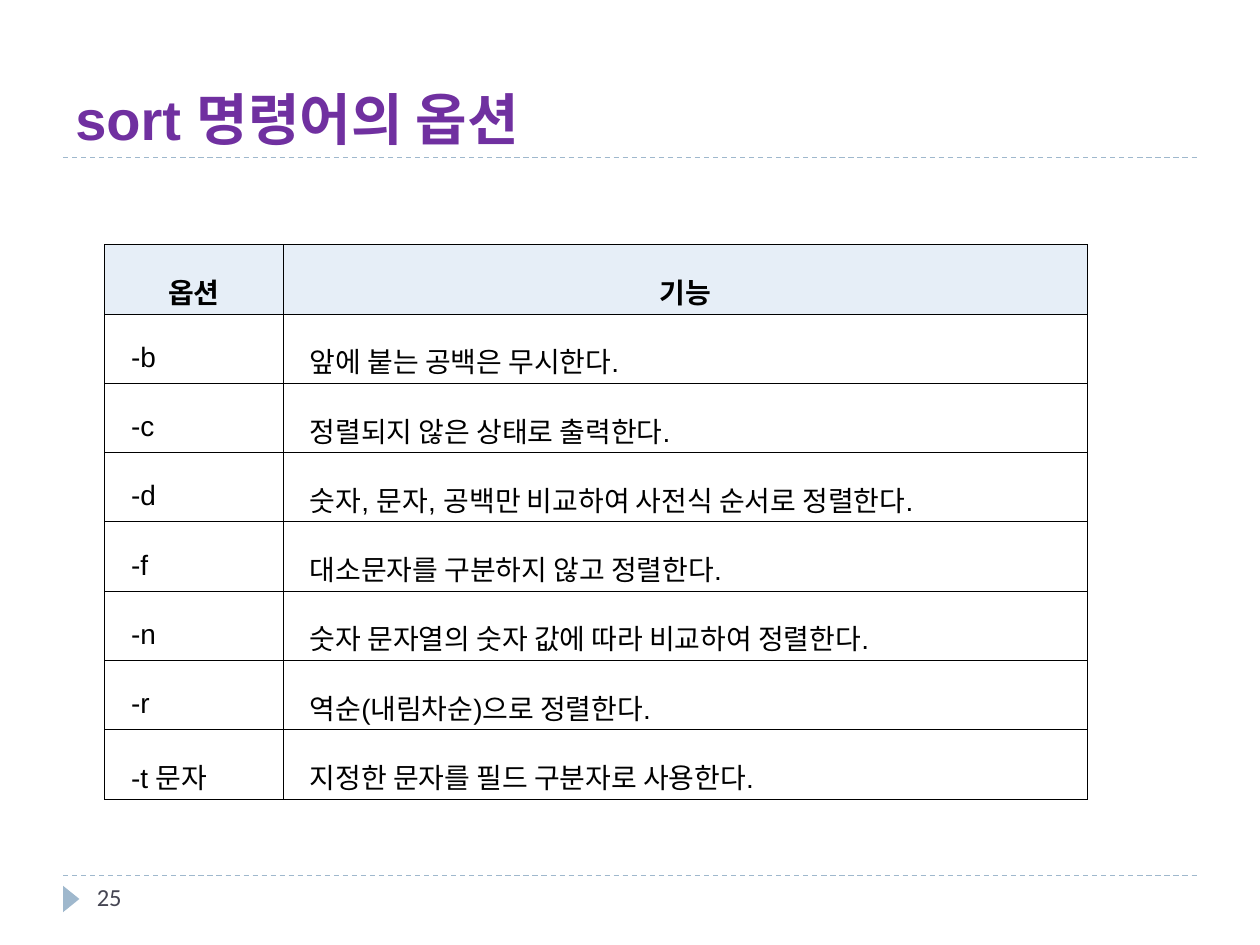
from pptx import Presentation
from pptx.dml.color import RGBColor
from pptx.enum.dml import MSO_LINE
from pptx.enum.shapes import MSO_CONNECTOR, MSO_SHAPE
from pptx.enum.text import MSO_ANCHOR as Anchor, PP_ALIGN as Align
from pptx.oxml import parse_xml
from pptx.oxml.ns import nsdecls
from pptx.util import Inches, Pt

ACCENT = "9FB8CD"
HEADER = ("옵션", "기능")
OPTIONS = [
    ("-b", "앞에 붙는 공백은 무시한다."),
    ("-c", "정렬되지 않은 상태로 출력한다."),
    ("-d", "숫자, 문자, 공백만 비교하여 사전식 순서로 정렬한다."),
    ("-f", "대소문자를 구분하지 않고 정렬한다."),
    ("-n", "숫자 문자열의 숫자 값에 따라 비교하여 정렬한다."),
    ("-r", "역순(내림차순)으로 정렬한다."),
    ("-t 문자", "지정한 문자를 필드 구분자로 사용한다."),
]


def color(value):
    """Turn a hex string into a colour."""
    return RGBColor.from_string(value)


def apply(target, formats):
    """Set each attribute named in a dict of format values."""
    for name, value in formats.items():
        setattr(target, name, value)


def write(para, text, ink, **formats):
    """Add one formatted span to a paragraph."""
    span = para.add_run()
    span.text = text
    apply(span.font, formats)
    span.font.color.rgb = color(ink)


def add_text(page, box, text, anchor, ink, **formats):
    """Place a line of text in a box."""
    frame = page.shapes.add_textbox(*map(Inches, box)).text_frame
    apply(frame, {"word_wrap": True, "vertical_anchor": anchor})
    write(frame.paragraphs[0], text, ink, **formats)


def add_rule(page, left, top, width):
    """Draw a dashed horizontal rule."""
    rule = page.shapes.add_connector(
        MSO_CONNECTOR.STRAIGHT, Inches(left), Inches(top), Inches(left + width), Inches(top))
    apply(rule.line, {"width": Pt(0.75), "dash_style": MSO_LINE.DASH})
    rule.line.color.rgb = color(ACCENT)
    rule._element.spPr.append(parse_xml(f"<a:effectLst {nsdecls('a')}/>"))


def add_title(page, box, text):
    """Place the title with a rule along its lower edge."""
    left, top, width, height = box
    add_rule(page, left, top + height, width)
    add_text(page, box, text, Anchor.BOTTOM, "7030A0",
             name="Arial", size=Pt(32), bold=True)


def add_footer(page, box, number):
    """Place the rule, the marker and the page number."""
    left, top, width, height = box
    add_rule(page, left, top, width)
    marker = page.shapes.add_shape(
        MSO_SHAPE.ISOSCELES_TRIANGLE,
        Inches(left - 0.04), Inches(top + 0.12), Inches(0.21), Inches(0.13))
    marker.rotation = 90
    marker.shadow.inherit = False
    marker.fill.solid()
    marker.fill.fore_color.rgb = color(ACCENT)
    marker.line.fill.background()
    add_text(page, (left + 0.17, top, 2.17, height), number, Anchor.TOP, "464653",
             name="Calibri", size=Pt(14))


def add_borders(cell):
    """Give a cell a thin black line on all four sides."""
    for side in "LRTB":
        cell._tc.get_or_add_tcPr().append(parse_xml(
            f'<a:ln{side} {nsdecls("a")} w="{Pt(0.28)}"><a:solidFill>'
            f'<a:srgbClr val="000000"/></a:solidFill></a:ln{side}>'))


def fill_cell(cell, text, is_header):
    """Write and format one table cell."""
    apply(cell, {"vertical_anchor": Anchor.MIDDLE,
                 "margin_left": Inches(0.07), "margin_right": Inches(0.07),
                 "margin_top": Inches(0.02), "margin_bottom": Inches(0.02)})
    add_borders(cell)
    para = cell.text_frame.paragraphs[0]
    apply(para, {"line_spacing": 1.6,
                 "alignment": Align.CENTER if is_header else Align.JUSTIFY})
    write(para, text, "000000", name="Arial", size=Pt(16), bold=is_header)
    if is_header:
        cell.fill.solid()
        cell.fill.fore_color.rgb = color("E6EEF7")
    else:
        cell.fill.background()
        para._p.get_or_add_pPr().set("marL", str(Inches(0.14)))


def add_option_table(page, box, header, options):
    """Place the table of options with equal rows."""
    rows = [header, *options]
    table = page.shapes.add_table(len(rows), len(header), *map(Inches, box)).table
    apply(table, {"first_row": False, "horz_banding": False})
    first_width = 1.42
    for column, width in zip(table.columns, (first_width, box[2] - first_width)):
        column.width = Inches(width)
    for row_index, row in enumerate(rows):
        for column_index, text in enumerate(row):
            fill_cell(table.cell(row_index, column_index), text, row_index == 0)


def main():
    """Build the deck."""
    deck = Presentation()
    apply(deck, {"slide_width": Inches(10), "slide_height": Inches(7.5)})
    page = deck.slides.add_slide(deck.slide_layouts[6])
    add_title(page, (0.5, 0.17, 9, 1.08), "sort 명령어의 옵션")
    add_option_table(page, (0.83, 1.94, 7.8, 4.4), HEADER, OPTIONS)
    add_footer(page, (0.5, 6.95, 9, 0.4), "25")
    deck.save("out.pptx")


if __name__ == "__main__":
    main()
